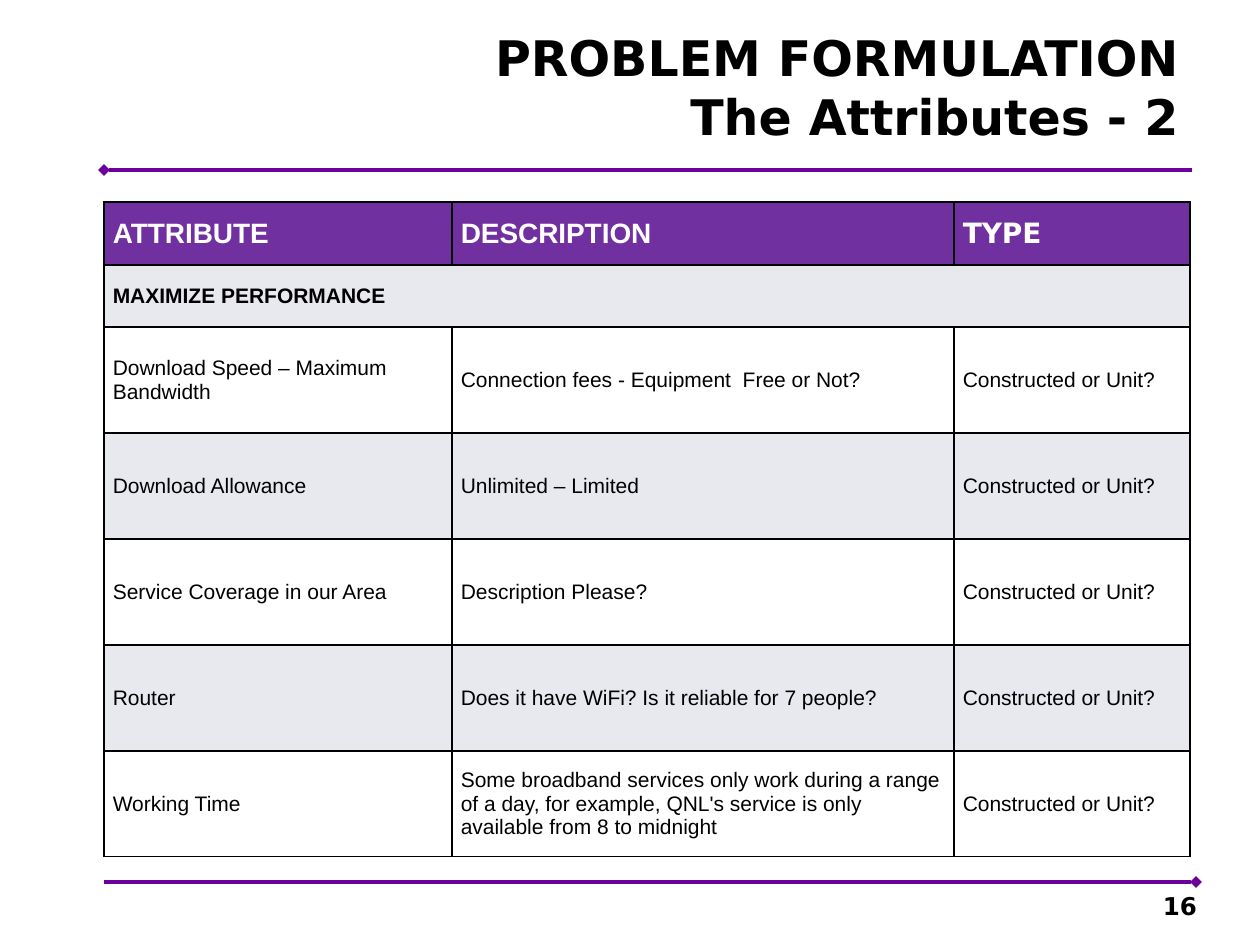
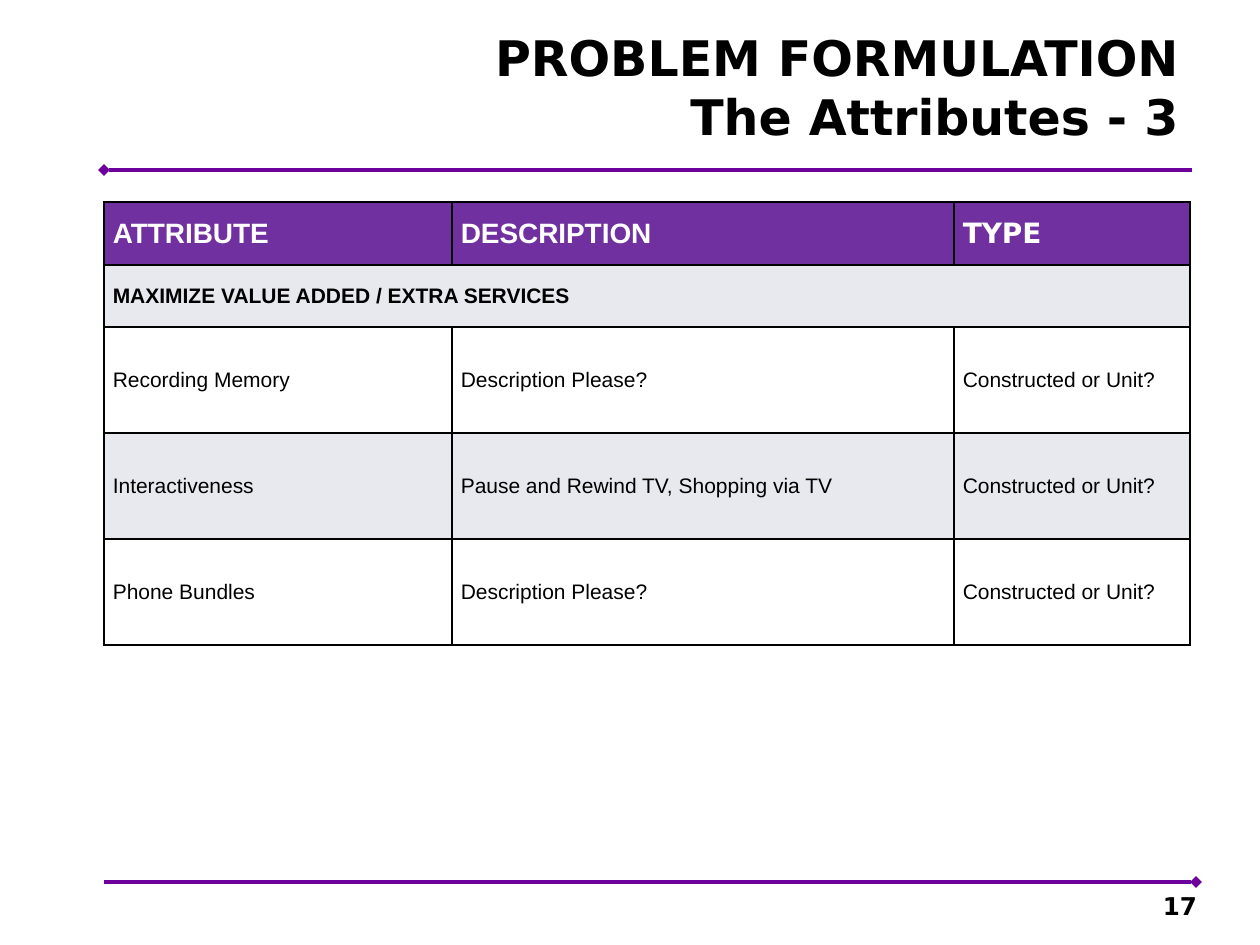
from copy import deepcopy

from lxml import etree
from pptx import Presentation
from pptx.dml.color import RGBColor
from pptx.enum.shapes import MSO_CONNECTOR
from pptx.enum.text import MSO_ANCHOR, MSO_AUTO_SIZE, PP_ALIGN
from pptx.oxml.ns import qn
from pptx.util import Inches, Pt

STRAIGHT = MSO_CONNECTOR.STRAIGHT
LEFT, RIGHT = PP_ALIGN.LEFT, PP_ALIGN.RIGHT
TOP, MIDDLE, BOTTOM = MSO_ANCHOR.TOP, MSO_ANCHOR.MIDDLE, MSO_ANCHOR.BOTTOM
NO_FIT = MSO_AUTO_SIZE.NONE

SCALE = Inches(1) / 126
RULE_COLOR = "6D009D"
HEADER_FILL = "7030A0"
BAND_FILL = "E8E8EF"
WHITE, BLACK = "FFFFFF", "000000"
TABLE_FONT, TITLE_FONT = "Arial", "DejaVu Sans"

MARGIN = 104
COLUMNS = (348, 502, 236)
HEADER_HEIGHT, GOAL_HEIGHT, ROW_HEIGHT = 63, 62, 106
HEADERS = (("ATTRIBUTE", TABLE_FONT), ("DESCRIPTION", TABLE_FONT), ("TYPE", TITLE_FONT))
TYPE_QUESTION = "Constructed or Unit?"
DESCRIPTION_QUESTION = "Description Please?"

PAGES = (
    (2, 16, "MAXIMIZE PERFORMANCE", (
        ("Download Speed – Maximum Bandwidth", "Connection fees - Equipment  Free or Not?"),
        ("Download Allowance", "Unlimited – Limited"),
        ("Service Coverage in our Area", DESCRIPTION_QUESTION),
        ("Router", "Does it have WiFi? Is it reliable for 7 people?"),
        ("Working Time", "Some broadband services only work during a range of a day, "
                         "for example, QNL's service is only available from 8 to midnight"),
    )),
    (3, 17, "MAXIMIZE VALUE ADDED / EXTRA SERVICES", (
        ("Recording Memory", DESCRIPTION_QUESTION),
        ("Interactiveness", "Pause and Rewind TV, Shopping via TV"),
        ("Phone Bundles", DESCRIPTION_QUESTION),
    )),
)


def px(length):
    return round(length * SCALE)


def color(value):
    return RGBColor.from_string(value)


def write(frame, text, size=12, font=TABLE_FONT, ink=BLACK, bold=False, align=LEFT):
    para = frame.paragraphs[0]
    para.text = text
    para.alignment = align
    for span in para.runs:
        span.font.size = Pt(size)
        span.font.name = font
        span.font.bold = bold
        span.font.color.rgb = color(ink)
    for line_break in para._p.findall(qn("a:br")):
        line_break.append(deepcopy(para.runs[0]._r.rPr))


def set_frame(frame, anchor, right_inset):
    frame.word_wrap = True
    frame.auto_size = NO_FIT
    frame.vertical_anchor = anchor
    frame.margin_left = Inches(0.1)
    frame.margin_right = Inches(right_inset)
    frame.margin_top = frame.margin_bottom = Inches(0.05)


def add_rule(page, right, y, diamond_end):
    rule = page.shapes.add_connector(STRAIGHT, px(MARGIN), px(y), px(right), px(y))
    rule.line.color.rgb = color(RULE_COLOR)
    rule.line.width = Pt(2.25)
    etree.SubElement(rule.line._get_or_add_ln(), qn(f"a:{diamond_end}"), type="diamond")
    etree.SubElement(rule._element.spPr, qn("a:effectLst"))


def add_title(page, text):
    title = page.shapes.title
    title.left, title.top, title.width, title.height = map(px, (333, 21, 858, 139))
    set_frame(title.text_frame, TOP, 0.1)
    write(title.text_frame, text, size=28, font=TITLE_FONT, bold=True, align=RIGHT)


def add_page_number(page, number):
    box = page.shapes.add_textbox(*map(px, (903, 890, 294, 37)))
    set_frame(box.text_frame, BOTTOM, 0)
    write(box.text_frame, str(number), size=14, font=TITLE_FONT, bold=True, align=RIGHT)


def add_borders(cell):
    properties = cell._tc.get_or_add_tcPr()
    for position, side in enumerate(("lnL", "lnR", "lnT", "lnB")):
        border = etree.Element(qn(f"a:{side}"), w=str(Pt(1)))
        fill = etree.SubElement(border, qn("a:solidFill"))
        etree.SubElement(fill, qn("a:srgbClr"), val=BLACK)
        properties.insert(position, border)


def fill_cell(cell, text, fill, **text_format):
    cell.fill.solid()
    cell.fill.fore_color.rgb = color(fill)
    cell.vertical_anchor = MIDDLE
    cell.margin_left = cell.margin_right = Inches(0.07)
    cell.margin_top = cell.margin_bottom = 0
    add_borders(cell)
    if text:
        write(cell.text_frame, text, **text_format)


def add_attribute_table(page, goal, attributes):
    heights = [HEADER_HEIGHT, GOAL_HEIGHT] + [ROW_HEIGHT] * len(attributes)
    table = page.shapes.add_table(
        len(heights), len(COLUMNS), px(MARGIN), px(202), px(sum(COLUMNS)), px(sum(heights))
    ).table
    for column, width in zip(table.columns, COLUMNS):
        column.width = px(width)
    for row, height in zip(table.rows, heights):
        row.height = px(height)

    for column, (text, font) in enumerate(HEADERS):
        fill_cell(table.cell(0, column), text, HEADER_FILL,
                  size=16, font=font, ink=WHITE, bold=True)
    table.cell(1, 0).merge(table.cell(1, len(COLUMNS) - 1))
    for column, text in enumerate((goal, "", "")):
        fill_cell(table.cell(1, column), text, BAND_FILL, bold=True)
    for row, attribute in enumerate(attributes, start=2):
        fill = BAND_FILL if row % 2 else WHITE
        for column, text in enumerate((*attribute, TYPE_QUESTION)):
            fill_cell(table.cell(row, column), text, fill)


def main():
    deck = Presentation()
    deck.slide_width, deck.slide_height = Inches(10), Inches(7.5)
    title_only = deck.slide_layouts[5]
    for part, number, goal, attributes in PAGES:
        page = deck.slides.add_slide(title_only)
        add_rule(page, 1192, 170, "headEnd")
        add_rule(page, 1196, 882, "tailEnd")
        add_title(page, f"PROBLEM FORMULATION\vThe Attributes - {part}")
        add_page_number(page, number)
        add_attribute_table(page, goal, attributes)
    deck.save("out.pptx")


main()
